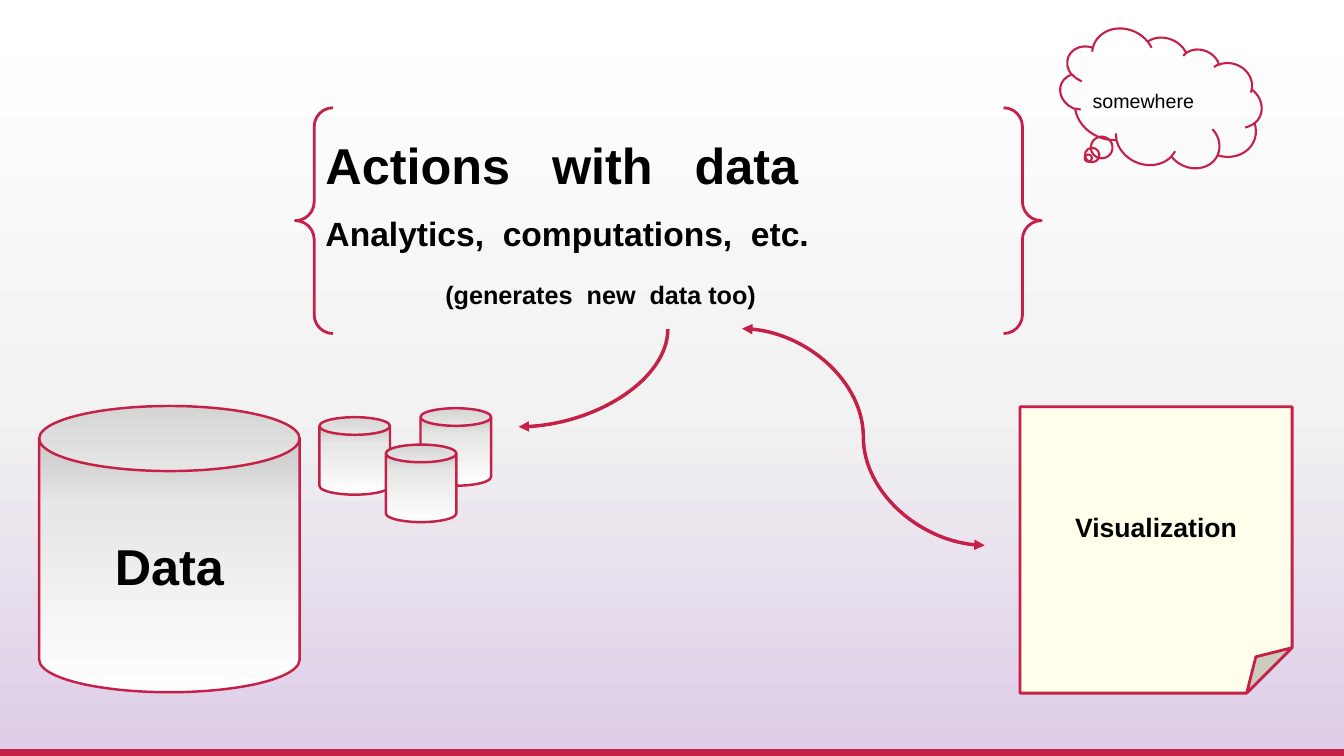
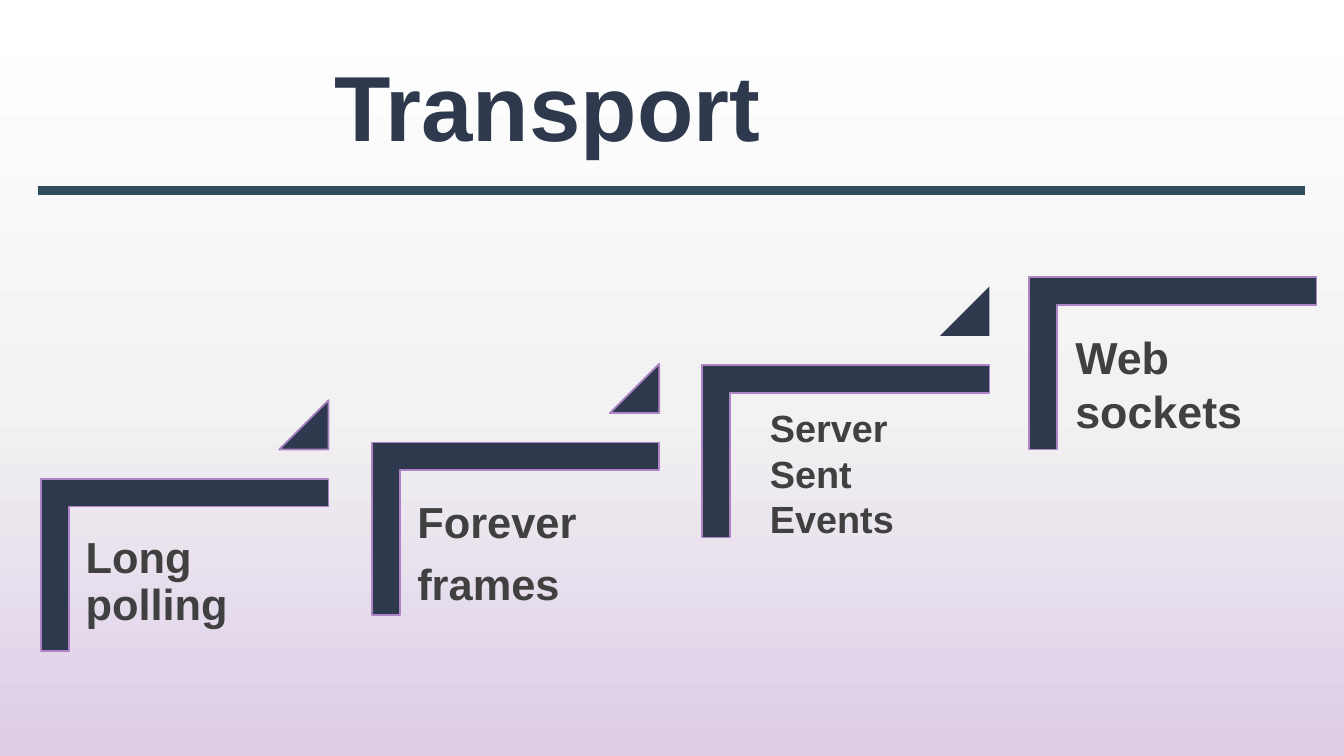
from dataclasses import dataclass
from typing import NamedTuple, Optional

from pptx import Presentation
from pptx.dml.color import RGBColor
from pptx.enum.shapes import MSO_CONNECTOR as Link, MSO_SHAPE as Kind
from pptx.enum.text import MSO_ANCHOR as Anchor, PP_ALIGN as Align
from pptx.oxml.ns import qn
from pptx.oxml.xmlchemy import OxmlElement as make
from pptx.util import Pt

FONT = "Arial"
HEX = {
    "black": "000000", "gray": "404040", "navy": "2E394D", "teal": "314D5B",
    "red": "C52148", "violet": "AD84C6", "cream": "FFFFEB",
}
PAGE = [(0, "FFFFFF"), (54, "F2F2F2"), (98, "DECEE8"), (100, "DECEE8")]
METAL = [(0, "FEFEFE"), (65, "E7E7E7"), (100, "B9B9B9")]


class Box(NamedTuple):
    x: float
    y: float
    w: float
    h: float


@dataclass
class Style:
    size: float
    color: str = "black"
    bold: bool = True
    align: Align = Align.LEFT
    inset: Optional[float] = None
    line: Optional[float] = None
    after: float = 0


@dataclass
class Step:
    x: float
    y: float
    text: str
    box: Box
    style: Style
    rim: bool = True


def rgb(name: str) -> RGBColor:
    return RGBColor.from_string(HEX[name])


def blend(owner, fill, stops: list, angle: int) -> None:
    """Fill with a linear gradient, its angle clockwise in degrees."""
    fill.gradient()
    grad = next(owner.element.iter(qn("a:gradFill")))
    marks = grad.find(qn("a:gsLst"))
    for old in list(marks):
        marks.remove(old)
    for pos, color in stops:
        stop, tone = make("a:gs"), make("a:srgbClr")
        stop.set("pos", str(pos * 1000))
        tone.set("val", color)
        stop.append(tone)
        marks.append(stop)
    grad.find(qn("a:lin")).set("ang", str(angle * 60000))


def write(shape, text: str, style: Style):
    frame = shape.text_frame
    frame.text = text
    frame.word_wrap = True
    if style.inset is not None:
        frame.margin_left = frame.margin_right = Pt(style.inset)
        frame.margin_top = frame.margin_bottom = Pt(style.inset)
    for para in frame.paragraphs:
        para.alignment = style.align
        para.space_after = Pt(style.after)
        if style.line:
            para.line_spacing = style.line
        for run in para.runs:
            font = run.font
            font.name, font.size, font.bold = FONT, Pt(style.size), style.bold
            font.color.rgb = rgb(style.color)
    return frame


def label(slide, box: Box, text: str, style: Style):
    return write(slide.shapes.add_textbox(*map(Pt, box)), text, style)


def draw(slide, kind: Kind, box: Box, fill: Optional[str] = None,
         line: Optional[str] = None, width: float = 1.25):
    shape = slide.shapes.add_shape(kind, *map(Pt, box))
    shape.shadow.inherit = False
    if fill:
        shape.fill.solid()
        shape.fill.fore_color.rgb = rgb(fill)
    else:
        shape.fill.background()
    if line:
        shape.line.color.rgb = rgb(line)
        shape.line.width = Pt(width)
    else:
        shape.line.fill.background()
    return shape


def drum(slide, box: Box):
    can = draw(slide, Kind.CAN, box, line="red", width=1.75)
    blend(can, can.fill, METAL, 270)
    return can


def join(slide, kind: Link, ends: tuple, color: str, width: float, tips: tuple = ()):
    """Draw a connector with arrow tips named headEnd or tailEnd."""
    link = slide.shapes.add_connector(kind, *map(Pt, ends))
    link.line.color.rgb = rgb(color)
    link.line.width = Pt(width)
    props = link.element.spPr
    for name in tips:
        tip = make(f"a:{name}")
        tip.set("type", "triangle")
        props.find(qn("a:ln")).append(tip)
    props.append(make("a:effectLst"))
    return link


def flow(slide) -> None:
    join(slide, Link.STRAIGHT, (0, 538, 960, 538), "red", 6)
    mid = Align.CENTER
    data = drum(slide, Box(28, 290, 186, 204.5))
    write(data, "Data", Style(36, align=mid)).vertical_anchor = Anchor.MIDDLE
    for x, y in [(228.2, 298), (300.4, 291.6), (275.6, 317.6)]:
        drum(slide, Box(x, y, 50.4, 55.4))

    draw(slide, Kind.DOUBLE_BRACE, Box(211, 77, 532.8, 161.3), line="red", width=2)
    acts = label(slide, Box(225.4, 92.2, 503.3, 93.6),
                 "Actions   with   data\nAnalytics,  computations,  etc.", Style(36))
    more = acts.paragraphs[1]
    more.space_before = Pt(13)
    more.runs[0].font.size = Pt(24)
    label(slide, Box(311, 195.8, 332.6, 28.8), "(generates  new  data too)", Style(18))

    bend = join(slide, Link.CURVE, (388.8, 216.7, 458.6, 323.3), "red", 2.5, ("tailEnd",))
    props = bend.element.spPr
    props.find(qn("a:prstGeom")).set("prst", "curvedConnector2")
    props.find(qn("a:xfrm")).set("rot", str(90 * 60000))

    note = draw(slide, Kind.FOLDED_CORNER, Box(728.6, 290.6, 194.4, 204.5),
                "cream", "red", 2)
    write(note, "Visualization", Style(19, align=mid)).vertical_anchor = Anchor.MIDDLE
    cloud = draw(slide, Kind.CLOUD_CALLOUT, Box(756, 25.9, 145.4, 92.9),
                 line="red", width=1.5)
    cloud.rotation = 24.1
    label(slide, Box(773.3, 59.8, 116.6, 24.5), "somewhere", Style(14, bold=False))
    join(slide, Link.CURVE, (530, 234.7, 703.4, 389.5), "red", 2.5,
         ("headEnd", "tailEnd"))


def stair(slide, step: Step, last: bool) -> None:
    """Draw one corner with its label, and a triangle unless it is the last."""
    wide, high, side = 205.2, 123.1, 35.3
    turn = (wide - high) / 2
    bar = draw(slide, Kind.CORNER, Box(step.x + turn, step.y - turn, high, wide),
               "navy", "violet")
    bar.rotation = 90
    bar.adjustments[0] = bar.adjustments[1] = 0.161
    label(slide, step.box, step.text, step.style)
    if not last:
        tip = draw(slide, Kind.ISOSCELES_TRIANGLE,
                   Box(step.x + wide - side, step.y - 56.2, side, side),
                   "navy", "violet" if step.rim else None)
        tip.adjustments[0] = 1


def ways(slide) -> None:
    tight = Style(31, "gray", inset=9.4, line=0.9, after=11)
    steps = [
        Step(29.5, 342, "Long polling", Box(51.8, 373.7, 195, 90), tight),
        Step(265.7, 316, "Forever\nframes", Box(288.7, 348.5, 188, 102.2), tight),
        Step(501.5, 260.8, "Server Sent Events", Box(542.9, 285.8, 156, 105),
             Style(27, "gray"), rim=False),
        Step(735.1, 198, "Web sockets", Box(761, 231.8, 183.6, 85), Style(32, "gray")),
    ]
    for step in steps:
        stair(slide, step, step is steps[-1])
    join(slide, Link.STRAIGHT, (26.8, 136, 932, 136), "teal", 6)
    label(slide, Box(231.8, 31.7, 496, 87), "Transport", Style(66, "navy"))


def main() -> None:
    deck = Presentation()
    deck.slide_width, deck.slide_height = Pt(960), Pt(540)
    base = deck.slide_master
    blend(base, base.background.fill, PAGE, 90)
    for build in (flow, ways):
        build(deck.slides.add_slide(deck.slide_layouts[6]))
    deck.save("out.pptx")


if __name__ == "__main__":
    main()
